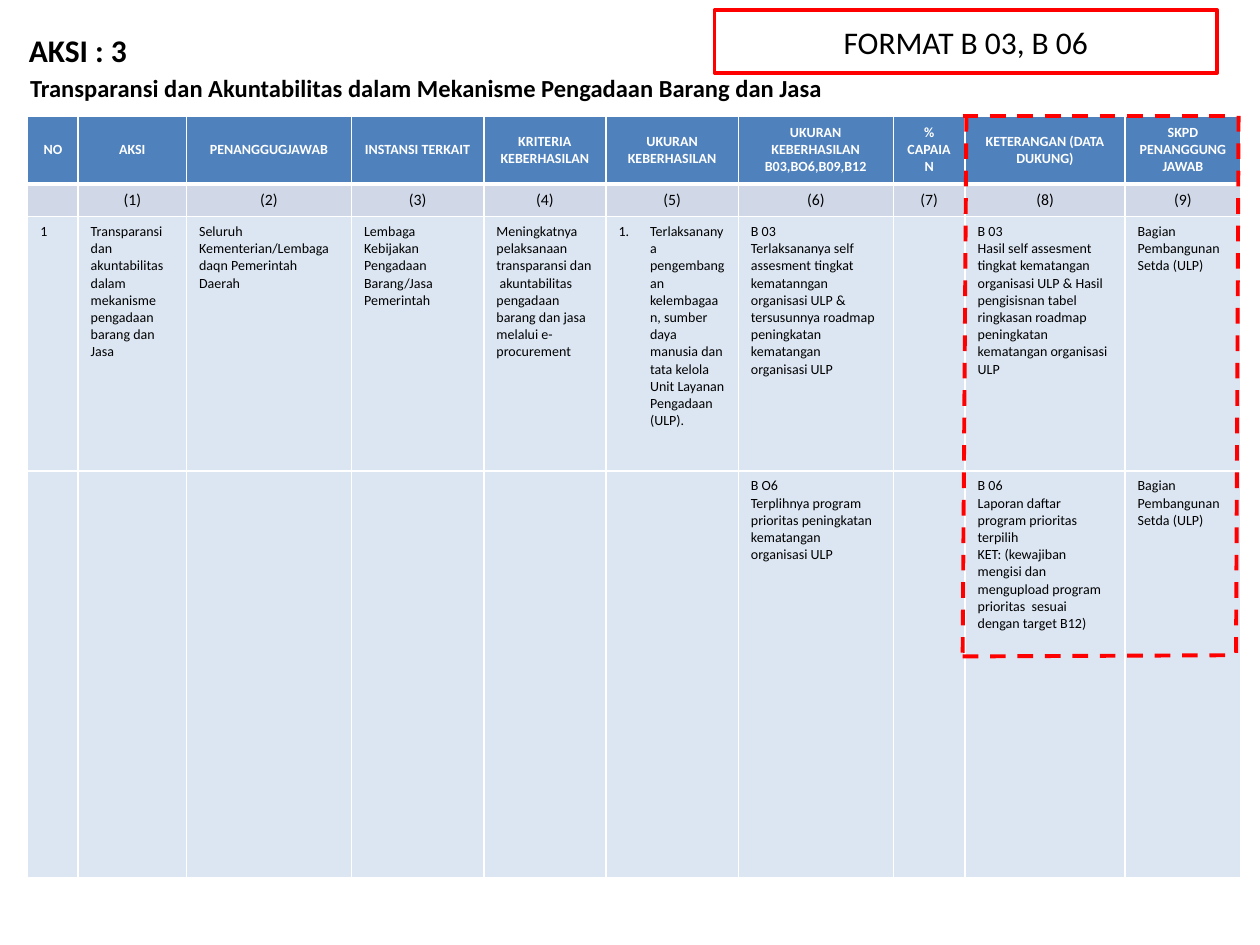
from lxml.etree import SubElement
from pptx import Presentation
from pptx.dml.color import RGBColor
from pptx.enum.dml import MSO_LINE
from pptx.enum.shapes import MSO_CONNECTOR, MSO_SHAPE
from pptx.enum.text import MSO_ANCHOR, MSO_AUTO_SIZE, PP_ALIGN
from pptx.oxml import parse_xml
from pptx.oxml.ns import nsdecls, qn
from pptx.util import Inches, Pt

BLACK = RGBColor(0x00, 0x00, 0x00)
WHITE = RGBColor(0xFF, 0xFF, 0xFF)
RED = RGBColor(0xFF, 0x00, 0x00)
HEADER_BLUE = RGBColor(0x4F, 0x81, 0xBD)
NUMBER_BLUE = RGBColor(0xD0, 0xD8, 0xE8)
BODY_BLUE = RGBColor(0xDC, 0xE6, 0xF2)

HEADER = {"size": Pt(8), "bold": True, "color": WHITE}
NUMBER = {"size": Pt(9), "bold": False, "color": BLACK}
BODY = {"size": Pt(8), "bold": False, "color": BLACK}
TITLE = {"size": Pt(18), "bold": True, "color": BLACK}
SUBTITLE = {"size": Pt(14), "bold": True, "color": BLACK}
LABEL = {"size": Pt(18), "bold": False, "color": BLACK}

COLUMN_WIDTHS = [0.4, 0.86, 1.31, 1.05, 0.97, 1.05, 1.23, 0.57, 1.27, 0.92]
ROW_HEIGHTS = [0.54, 0.26, 2.02, 3.23]
ROW_STYLES = [
    (HEADER, HEADER_BLUE, PP_ALIGN.CENTER, MSO_ANCHOR.MIDDLE),
    (NUMBER, NUMBER_BLUE, PP_ALIGN.CENTER, MSO_ANCHOR.TOP),
    (BODY, BODY_BLUE, PP_ALIGN.LEFT, MSO_ANCHOR.TOP),
    (BODY, BODY_BLUE, PP_ALIGN.LEFT, MSO_ANCHOR.TOP),
]
OFFICE = "Bagian Pembangunan Setda (ULP)"
ROWS = [
    ["NO", "AKSI", "PENANGGUGJAWAB", "INSTANSI TERKAIT", "KRITERIA KEBERHASILAN",
     "UKURAN KEBERHASILAN", "UKURAN KEBERHASILAN B03,BO6,B09,B12", "%\nCAPAIAN",
     "KETERANGAN (DATA DUKUNG)", "SKPD PENANGGUNG JAWAB"],
    [""] + [f"({number})" for number in range(1, 10)],
    ["1",
     "Transparansi dan akuntabilitas dalam mekanisme pengadaan barang dan Jasa",
     "Seluruh Kementerian/Lembaga daqn Pemerintah Daerah",
     "Lembaga Kebijakan Pengadaan Barang/Jasa Pemerintah",
     "Meningkatnya pelaksanaan transparansi dan  akuntabilitas pengadaan barang "
     "dan jasa melalui e-procurement",
     "Terlaksananya pengembangan kelembagaan, sumber daya manusia dan tata kelola "
     "Unit Layanan Pengadaan (ULP).",
     "B 03\nTerlaksananya self assesment tingkat kematanngan organisasi ULP & "
     "tersusunnya roadmap peningkatan kematangan organisasi ULP",
     "",
     "B 03\nHasil self assesment tingkat kematangan organisasi ULP & Hasil "
     "pengisisnan tabel ringkasan roadmap peningkatan kematangan organisasi ULP",
     OFFICE],
    [""] * 6 + [
        "B O6\nTerplihnya program prioritas peningkatan kematangan organisasi ULP",
        "",
        "B 06\nLaporan daftar program prioritas terpilih\nKET: (kewajiban mengisi dan "
        "mengupload program prioritas  sesuai dengan target B12)",
        OFFICE],
]
DASHED_EDGES = [
    (7.67, 0.92, 7.64, 5.25),
    (9.83, 0.92, 9.81, 5.2),
    (7.64, 0.92, 9.81, 0.92),
    (7.64, 5.21, 9.81, 5.2),
]


class ActionPage:
    """Draws styled elements on the current slide."""

    font_name = "Calibri"

    def __init__(self, page):
        self.page = page

    def fill_text(self, frame, text, style, align=PP_ALIGN.LEFT):
        for index, line in enumerate(text.split("\n")):
            para = frame.paragraphs[0] if index == 0 else frame.add_paragraph()
            para.alignment = align
            if not line:
                para._p.get_or_add_endParaRPr().set("sz", str(int(style["size"].pt * 100)))
                continue
            span = para.add_run()
            span.text = line
            span.font.name = self.font_name
            for name, value in style.items():
                if name == "color":
                    span.font.color.rgb = value
                else:
                    setattr(span.font, name, value)

    def number(self, para):
        properties = para._p.get_or_add_pPr()
        properties.set("marL", str(Inches(0.25)))
        properties.set("indent", str(Inches(-0.25)))
        SubElement(properties, qn("a:buFont"), typeface="+mj-lt")
        SubElement(properties, qn("a:buAutoNum"), type="arabicPeriod")

    def border(self, cell, top, bottom):
        properties = cell._tc.get_or_add_tcPr()
        widths = {"lnL": 1, "lnR": 1, "lnT": top, "lnB": bottom}
        for index, (side, width) in enumerate(widths.items()):
            properties.insert(index, parse_xml(
                f'<a:{side} {nsdecls("a")} w="{Pt(width)}"><a:solidFill>'
                f'<a:srgbClr val="{WHITE}"/></a:solidFill></a:{side}>'))

    def table(self, left, top, rows):
        area = map(Inches, (left, top, sum(COLUMN_WIDTHS), sum(ROW_HEIGHTS)))
        table = self.page.shapes.add_table(len(rows), len(COLUMN_WIDTHS), *area).table
        table.horz_banding = False
        for column, width in zip(table.columns, COLUMN_WIDTHS):
            column.width = Inches(width)
        for row_index, (texts, row_style) in enumerate(zip(rows, ROW_STYLES)):
            style, fill, align, anchor = row_style
            table.rows[row_index].height = Inches(ROW_HEIGHTS[row_index])
            for column_index, text in enumerate(texts):
                cell = table.cell(row_index, column_index)
                cell.vertical_anchor = anchor
                cell.fill.solid()
                cell.fill.fore_color.rgb = fill
                self.border(cell, 3 if row_index == 1 else 1, 3 if row_index == 0 else 1)
                self.fill_text(cell.text_frame, text, style, align)
        return table

    def label(self, left, top, width, height, text):
        box = self.page.shapes.add_shape(
            MSO_SHAPE.RECTANGLE, *map(Inches, (left, top, width, height)))
        box.shadow.inherit = False
        box.fill.solid()
        box.fill.fore_color.rgb = WHITE
        box.line.color.rgb = RED
        box.line.width = Pt(2)
        box.text_frame.vertical_anchor = MSO_ANCHOR.MIDDLE
        self.fill_text(box.text_frame, text, LABEL, PP_ALIGN.CENTER)

    def heading(self, left, top, width, height, text, style):
        box = self.page.shapes.add_textbox(*map(Inches, (left, top, width, height)))
        box.text_frame.word_wrap = True
        box.text_frame.auto_size = MSO_AUTO_SIZE.SHAPE_TO_FIT_TEXT
        self.fill_text(box.text_frame, text, style)

    def dashed_line(self, *ends):
        line = self.page.shapes.add_connector(MSO_CONNECTOR.STRAIGHT, *map(Inches, ends))
        line.line.color.rgb = RED
        line.line.width = Pt(2.25)
        line.line.dash_style = MSO_LINE.DASH
        SubElement(line._element.spPr, qn("a:effectLst"))


def main():
    deck = Presentation()
    deck.slide_width, deck.slide_height = Inches(10), Inches(7.5)
    action = ActionPage(deck.slides.add_slide(deck.slide_layouts[6]))
    table = action.table(0.22, 0.92, ROWS)
    action.number(table.cell(2, 5).text_frame.paragraphs[0])
    action.label(5.67, 0.08, 3.99, 0.5, "FORMAT B 03, B 06")
    action.heading(0.14, 0.53, 10.3, 0.34,
                   "Transparansi dan Akuntabilitas dalam Mekanisme Pengadaan Barang dan Jasa",
                   SUBTITLE)
    action.heading(0.13, 0.2, 6.92, 0.4, "AKSI : 3", TITLE)
    for edge in DASHED_EDGES:
        action.dashed_line(*edge)
    deck.save("out.pptx")


if __name__ == "__main__":
    main()
